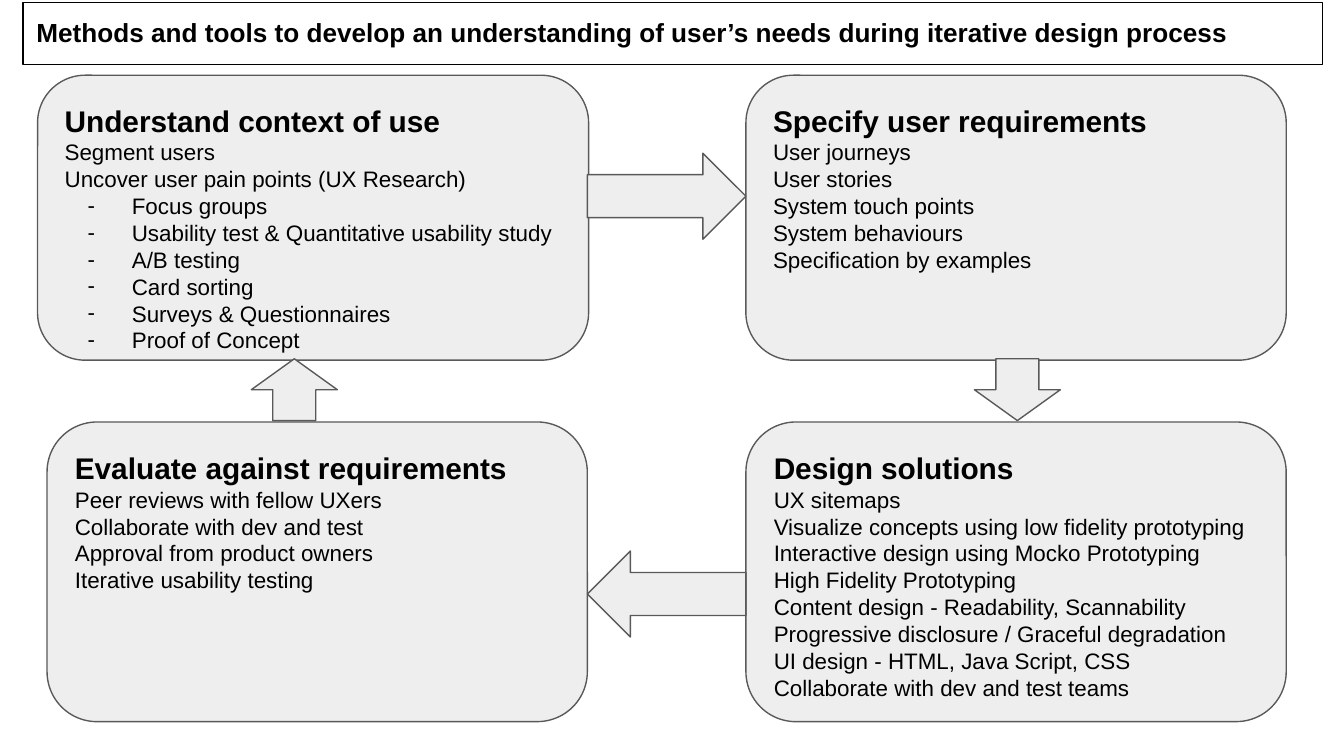
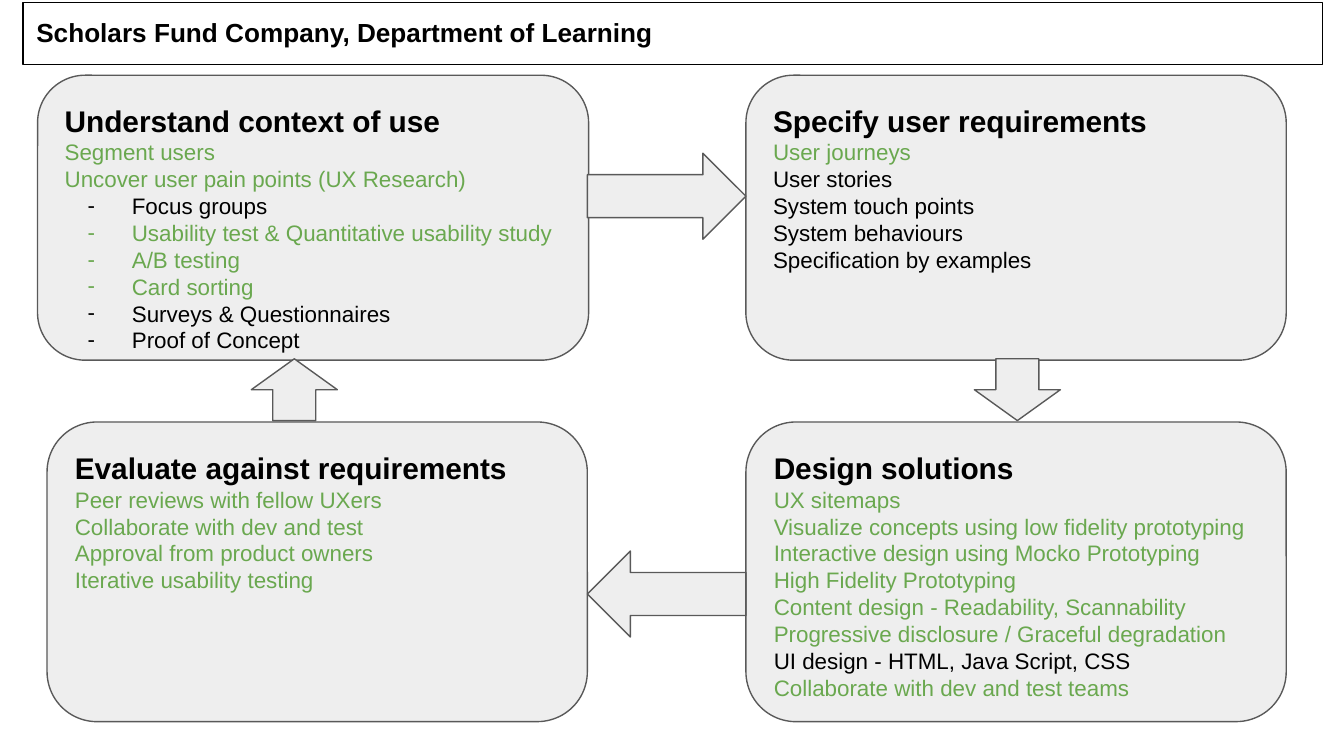
import pptx
import pptx.dml.color
import pptx.enum.shapes
import pptx.enum.text
import pptx.oxml.ns
import pptx.util
from lxml import etree

Inches = pptx.util.Inches
Pt = pptx.util.Pt
SHAPE = pptx.enum.shapes.MSO_SHAPE

FONT = "Arial"
COLORS = {"text": "000000", "done": "6AA84F", "panel": "EEEEEE", "edge": "595959"}
TITLE_BOX = (0.17, 0.02, 9.67, 0.46)

PANELS = [
    ((0.28, 0.56, 4.1, 2.12), "Understand context of use",
     ["Segment users", "Uncover user pain points (UX Research)"],
     ["Focus groups", "Usability test & Quantitative usability study", "A/B testing",
      "Card sorting", "Surveys & Questionnaires", "Proof of Concept"]),
    ((5.55, 0.56, 4.02, 2.12), "Specify user requirements",
     ["User journeys", "User stories", "System touch points", "System behaviours",
      "Specification by examples"], []),
    ((5.55, 3.14, 4.02, 2.23), "Design solutions",
     ["UX sitemaps", "Visualize concepts using low fidelity prototyping",
      "Interactive design using Mocko Prototyping", "High Fidelity Prototyping",
      "Content design - Readability, Scannability",
      "Progressive disclosure / Graceful degradation",
      "UI design - HTML, Java Script, CSS", "Collaborate with dev and test teams"], []),
    ((0.35, 3.14, 4.02, 2.23), "Evaluate against requirements",
     ["Peer reviews with fellow UXers", "Collaborate with dev and test",
      "Approval from product owners", "Iterative usability testing"], []),
]

ARROWS = [
    (SHAPE.RIGHT_ARROW, (4.37, 1.14, 1.18, 0.64)),
    (SHAPE.LEFT_ARROW, (4.37, 4.1, 1.18, 0.64)),
    (SHAPE.DOWN_ARROW, (7.25, 2.67, 0.64, 0.46)),
    (SHAPE.UP_ARROW, (1.87, 2.67, 0.64, 0.46)),
]

ALL_ITEMS = {item for _, _, items, methods in PANELS for item in items + methods}
OPEN_ITEMS = {
    "Focus groups", "Surveys & Questionnaires", "Proof of Concept", "User stories",
    "System touch points", "System behaviours", "Specification by examples",
    "UI design - HTML, Java Script, CSS",
}

SLIDES = [
    ("Methods and tools to develop an understanding of user’s needs "
     "during iterative design process", set()),
    ("Scholars Fund Company, Department of Learning", ALL_ITEMS - OPEN_ITEMS),
]


def rgb(name):
    """Return the palette colour with this name."""
    return pptx.dml.color.RGBColor.from_string(COLORS[name])


def add_bullet(p, char, color):
    """Give a paragraph a hanging bullet."""
    pPr = p._p.get_or_add_pPr()
    pPr.set("marL", str(Inches(0.5)))
    pPr.set("indent", str(Inches(-0.33)))
    qn = pptx.oxml.ns.qn
    clr = etree.SubElement(pPr, qn("a:buClr"))
    etree.SubElement(clr, qn("a:srgbClr")).set("val", COLORS[color])
    etree.SubElement(pPr, qn("a:buSzPct")).set("val", "100000")
    etree.SubElement(pPr, qn("a:buFont")).set("typeface", FONT)
    etree.SubElement(pPr, qn("a:buChar")).set("char", char)


def add_text(tf, text, size=12, bold=False, color="text", bullet=None):
    """Write one left-aligned paragraph into the text frame."""
    p = tf.add_paragraph() if tf.text else tf.paragraphs[0]
    p.alignment = pptx.enum.text.PP_ALIGN.LEFT
    if bullet:
        add_bullet(p, bullet, color)
    r = p.add_run()
    r.text = text
    r.font.name = FONT
    r.font.size = Pt(size)
    r.font.bold = bold
    r.font.color.rgb = rgb(color)


def set_frame(tf):
    """Set wrapping, insets and top anchor of a text frame."""
    tf.word_wrap = True
    tf.auto_size = pptx.enum.text.MSO_AUTO_SIZE.NONE
    tf.vertical_anchor = pptx.enum.text.MSO_ANCHOR.TOP
    tf.margin_left = tf.margin_top = tf.margin_right = tf.margin_bottom = Inches(0.1)


def set_line(sp, color):
    """Outline a shape with the thin line all shapes share."""
    sp.line.color.rgb = rgb(color)
    sp.line.width = Pt(0.75)


def add_block(s, kind, box):
    """Add a grey outlined shape in the box."""
    sp = s.shapes.add_shape(kind, *map(Inches, box))
    sp.shadow.inherit = False
    sp.fill.solid()
    sp.fill.fore_color.rgb = rgb("panel")
    set_line(sp, "edge")
    return sp


def place_title(s, box, text):
    """Place the framed title in the box."""
    sp = s.shapes.title
    sp.left, sp.top, sp.width, sp.height = map(Inches, box)
    set_line(sp, "text")
    set_frame(sp.text_frame)
    add_text(sp.text_frame, text, size=14, bold=True)


def add_panel(s, box, heading, items, methods, done):
    """Add a rounded panel with heading, items and bulleted methods."""
    sp = add_block(s, SHAPE.ROUNDED_RECTANGLE, box)
    tf = sp.text_frame
    set_frame(tf)
    add_text(tf, heading, size=16, bold=True)
    for item in items + methods:
        add_text(tf, item, color="done" if item in done else "text",
                 bullet="-" if item in methods else None)


def add_cycle_slide(prs, title, done):
    """Add a slide with the four-step design cycle."""
    s = prs.slides.add_slide(prs.slide_layouts[5])
    place_title(s, TITLE_BOX, title)
    for box, heading, items, methods in PANELS:
        add_panel(s, box, heading, items, methods, done)
    for kind, box in ARROWS:
        add_block(s, kind, box)


def main():
    """Build and save the presentation."""
    prs = pptx.Presentation()
    prs.slide_width = Inches(10)
    prs.slide_height = prs.slide_width * 9 // 16
    for title, done in SLIDES:
        add_cycle_slide(prs, title, done)
    prs.save("out.pptx")


main()
